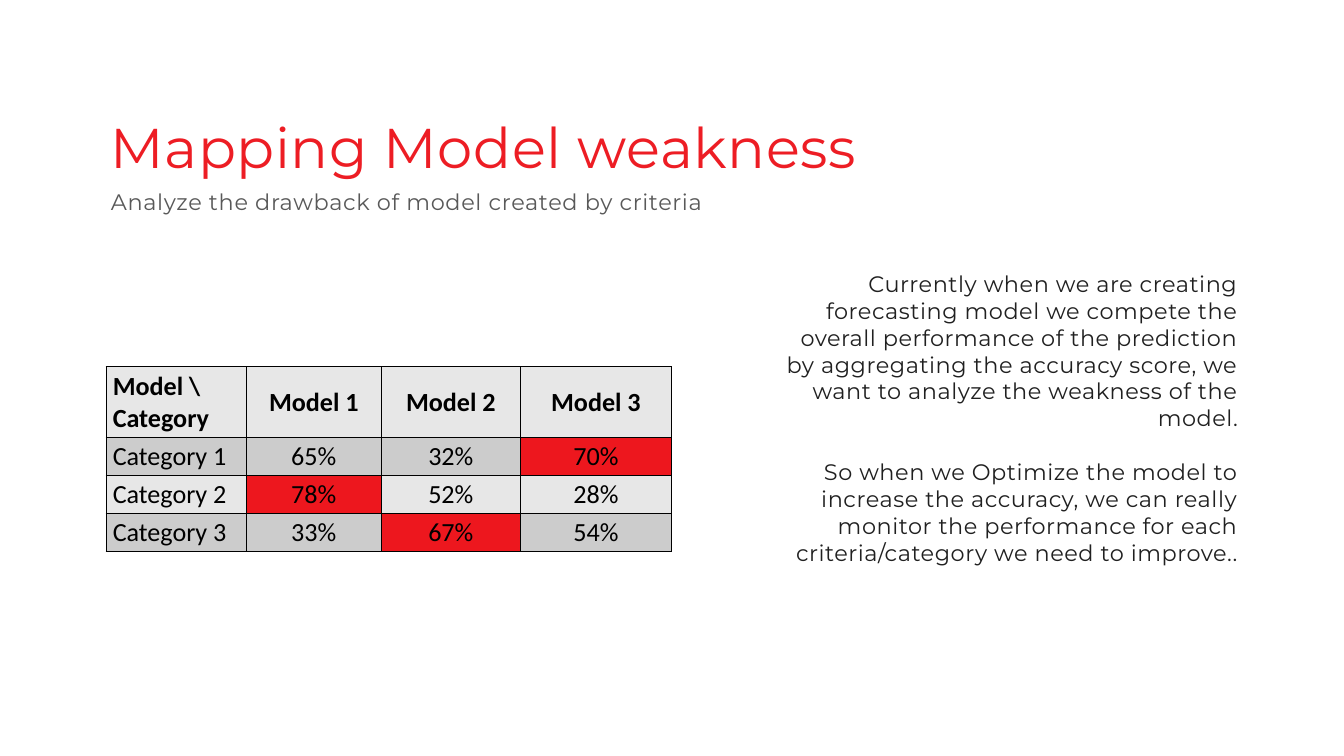
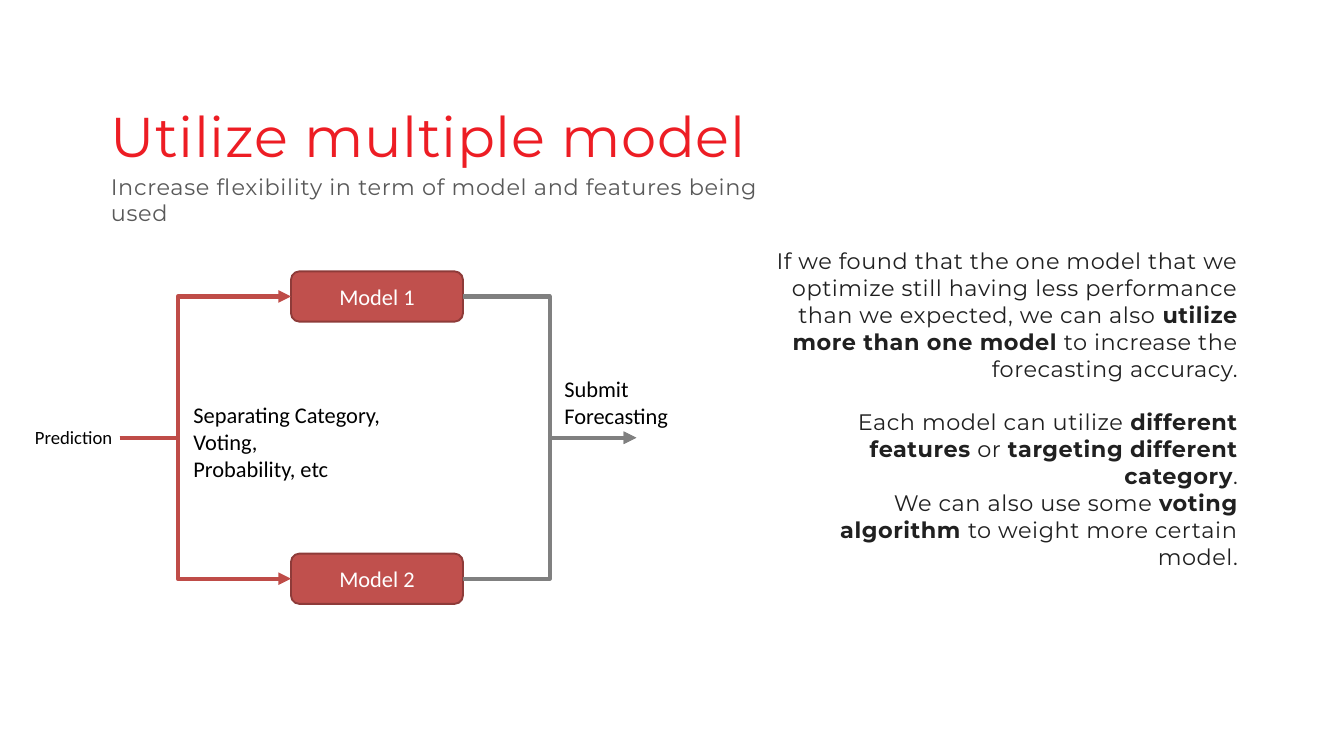
from dataclasses import dataclass
from typing import NamedTuple

from lxml import etree
from pptx import Presentation
from pptx.dml.color import RGBColor
from pptx.enum.shapes import MSO_CONNECTOR, MSO_SHAPE
from pptx.enum.text import MSO_ANCHOR, MSO_AUTO_SIZE, PP_ALIGN
from pptx.oxml.ns import qn
from pptx.shapes.autoshape import Shape
from pptx.slide import Slide
from pptx.table import _Cell
from pptx.text.text import TextFrame
from pptx.util import Cm, Pt

LEFT, CENTER, RIGHT = PP_ALIGN.LEFT, PP_ALIGN.CENTER, PP_ALIGN.RIGHT
MIDDLE = MSO_ANCHOR.MIDDLE
GROW = MSO_AUTO_SIZE.SHAPE_TO_FIT_TEXT
ROUNDED = MSO_SHAPE.ROUNDED_RECTANGLE
ELBOW = MSO_CONNECTOR.ELBOW

HEADING_FONT, DIAGRAM_FONT = "Montserrat", "Calibri"
TITLE_RED, SUBTITLE_GRAY, BODY_DARK = "ED1D24", "595959", "202020"
BLACK, WHITE = "000000", "FFFFFF"
BAND_LIGHT, BAND_DARK, HIGHLIGHT = "E7E7E7", "CCCCCC", "ED171E"
MODEL_FILL, MODEL_EDGE = "C0504D", "8E3B39"
SPLIT_RED, MERGE_GRAY = "BF4C48", "808080"

LEFT_SIDE, RIGHT_SIDE = 1, 3  # connection sites of a rectangle


class Box(NamedTuple):
    """Left, top, width and height in centimetres."""
    left: float
    top: float
    width: float
    height: float

    def lengths(self) -> list[Cm]:
        return [Cm(value) for value in self]


@dataclass
class Topic:
    title: str
    subtitle: str
    body: str
    title_top: float
    subtitle_top: float
    body_top: float


@dataclass
class Label:
    text: str
    box: Box
    size: int = 24


WEAKNESS = Topic(
    "Mapping Model weakness",
    "Analyze the drawback of model created by criteria",
    "Currently when we are creating forecasting model we compete the overall "
    "performance of the prediction by aggregating the accuracy score, we want "
    "to analyze the weakness of the model.\n\n"
    "So when we Optimize the model to increase the accuracy, we can really "
    "monitor the performance for each criteria/category we need to improve..",
    4.27, 7.11, 10.21)

MULTIPLE = Topic(
    "Utilize multiple model",
    "Increase flexibility in term of model and features being used",
    "If we found that the one model that we optimize still having less "
    "performance than we expected, we can also **utilize more than one model** "
    "to increase the forecasting accuracy.\n\n"
    "Each model can utilize **different features** or "
    "**targeting different category**.\n"
    "We can also use some **voting algorithm **to weight more certain model.",
    3.84, 6.53, 9.35)

TABLE_BOX = Box(4.01, 13.87, 21.36, 6.94)
COLUMN_WIDTHS = [5.31, 5.08, 5.28, 5.69]
HEADER_HEIGHT, ROW_HEIGHT = 2.65, 1.43
TABLE_HEADER = ["Model \\ Category", "Model 1", "Model 2", "Model 3"]
ACCURACY = {
    "Category 1": [65, 32, 70],
    "Category 2": [78, 52, 28],
    "Category 3": [33, 67, 54],
}

MODELS = [
    Label("Model 1", Box(11, 10.26, 6.5, 1.9)),
    Label("Model 2", Box(11, 20.93, 6.5, 1.9)),
]
FLOW_LABELS = [
    Label("Prediction", Box(1.07, 15.98, 3.48, 1.12), 20),
    Label("Submit\nForecasting", Box(21.08, 14.05, 4.47, 2.31)),
    Label("Separating Category,\nVoting,\nProbability, etc",
          Box(7.06, 15.04, 7.82, 3.33)),
]
FLOW_START, FLOW_END, FLOW_MIDDLE = 4.52, 24.05, 16.55


def rgb(code: str) -> RGBColor:
    return RGBColor.from_string(code)


def write_text(frame: TextFrame, text: str, *, size: float = 24,
               font: str = DIAGRAM_FONT, color: str = BLACK,
               align: PP_ALIGN = LEFT, bold: bool = False, tracking: float = 0,
               line_spacing: float | None = None, space_after: float = 0) -> None:
    """Fill a frame; a blank line opens a gap and ** toggles bold."""
    paragraph = None
    for block_index, block in enumerate(text.split("\n\n")):
        for line_index, line in enumerate(block.split("\n")):
            paragraph = frame.add_paragraph() if paragraph else frame.paragraphs[0]
            paragraph.alignment = align
            paragraph.space_after = Pt(space_after)
            if line_spacing:
                paragraph.line_spacing = line_spacing
            if block_index and not line_index:
                paragraph.space_before = Pt(size * 1.2)
            for part_index, part in enumerate(line.split("**")):
                run = paragraph.add_run()
                run.text = part
                run.font.size = Pt(size)
                run.font.name = font
                run.font.bold = bold or part_index % 2 == 1
                run.font.color.rgb = rgb(color)
                if tracking:
                    run.font._element.set("spc", str(round(tracking * 100)))


def add_text(slide: Slide, box: Box, text: str, *, wrap: bool = True,
             inset: bool = False, **text_format) -> None:
    frame = slide.shapes.add_textbox(*box.lengths()).text_frame
    frame.word_wrap = wrap
    frame.auto_size = GROW
    if not inset:
        frame.margin_left = frame.margin_right = 0
        frame.margin_top = frame.margin_bottom = 0
    write_text(frame, text, **text_format)


def add_topic_slide(deck: Presentation, topic: Topic) -> Slide:
    slide = deck.slides.add_slide(deck.slide_layouts[6])
    add_text(slide, Box(4.17, topic.title_top, 40.84, 2.57), topic.title,
             size=60, font=HEADING_FONT, color=TITLE_RED, tracking=0.7)
    add_text(slide, Box(29.16, topic.body_top, 17.63, 11.28), topic.body,
             font=HEADING_FONT, color=BODY_DARK, align=RIGHT, tracking=0.6)
    add_text(slide, Box(4.19, topic.subtitle_top, 24.94, 1.02), topic.subtitle,
             font=HEADING_FONT, color=SUBTITLE_GRAY, tracking=0.7, space_after=6)
    return slide


def fill_cell(cell: _Cell, text: str, fill: str, **text_format) -> None:
    properties = cell._tc.get_or_add_tcPr()
    for side in ("a:lnL", "a:lnR", "a:lnT", "a:lnB"):
        border = etree.SubElement(properties, qn(side), w=str(Pt(1)))
        solid = etree.SubElement(border, qn("a:solidFill"))
        etree.SubElement(solid, qn("a:srgbClr"), val=BLACK)
    cell.fill.solid()
    cell.fill.fore_color.rgb = rgb(fill)
    write_text(cell.text_frame, text, size=28, **text_format)


def add_accuracy_table(slide: Slide) -> None:
    """Draw accuracy by category, with the highest score of each row in red."""
    table = slide.shapes.add_table(
        len(ACCURACY) + 1, len(TABLE_HEADER), *TABLE_BOX.lengths()).table
    for column, width in zip(table.columns, COLUMN_WIDTHS):
        column.width = Cm(width)
    for index, row in enumerate(table.rows):
        row.height = Cm(ROW_HEIGHT if index else HEADER_HEIGHT)

    for column, heading in enumerate(TABLE_HEADER):
        fill_cell(table.cell(0, column), heading, BAND_LIGHT, bold=True,
                  align=CENTER if column else LEFT,
                  line_spacing=1.5 if column else None)
    for row, (category, scores) in enumerate(ACCURACY.items(), start=1):
        band = BAND_DARK if row % 2 else BAND_LIGHT
        fill_cell(table.cell(row, 0), category, band)
        for column, score in enumerate(scores, start=1):
            fill = HIGHLIGHT if score == max(scores) else band
            fill_cell(table.cell(row, column), f"{score}%", fill, align=CENTER)


def add_model(slide: Slide, model: Label) -> Shape:
    shape = slide.shapes.add_shape(ROUNDED, *model.box.lengths())
    shape.shadow.inherit = False
    shape.fill.solid()
    shape.fill.fore_color.rgb = rgb(MODEL_FILL)
    shape.line.color.rgb = rgb(MODEL_EDGE)
    shape.line.width = Pt(2)
    shape.text_frame.vertical_anchor = MIDDLE
    write_text(shape.text_frame, model.text, size=model.size, color=WHITE,
               align=CENTER)
    return shape


def add_flow(slide: Slide, start: tuple[float, float], end: tuple[float, float],
             color: str, bend: float):
    """Draw an elbow arrow that turns at the given share of its width."""
    flow = slide.shapes.add_connector(ELBOW, *map(Cm, start + end))
    flow.line.color.rgb = rgb(color)
    flow.line.width = Pt(4.5)
    etree.SubElement(flow.line._get_or_add_ln(), qn("a:tailEnd"), type="triangle")
    properties = flow._element.spPr
    etree.SubElement(properties, qn("a:effectLst"))
    guides = properties.find(qn("a:prstGeom")).find(qn("a:avLst"))
    etree.SubElement(guides, qn("a:gd"), name="adj1",
                     fmla=f"val {round(bend * 100000)}")
    return flow


def add_model_flow(slide: Slide) -> None:
    for model in MODELS:
        shape = add_model(slide, model)
        left, center = model.box.left, model.box.top + model.box.height / 2
        split = add_flow(slide, (FLOW_START, FLOW_MIDDLE), (left, center),
                         SPLIT_RED, bend=0.34)
        split.end_connect(shape, LEFT_SIDE)
        merge = add_flow(slide, (left + model.box.width, center),
                         (FLOW_END, FLOW_MIDDLE), MERGE_GRAY, bend=0.5)
        merge.begin_connect(shape, RIGHT_SIDE)
    for label in FLOW_LABELS:
        add_text(slide, label.box, label.text, size=label.size, wrap=False,
                 inset=True)


def main() -> None:
    deck = Presentation()
    deck.slide_width, deck.slide_height = Cm(50.8), Cm(28.58)
    add_accuracy_table(add_topic_slide(deck, WEAKNESS))
    add_model_flow(add_topic_slide(deck, MULTIPLE))
    deck.save("out.pptx")


if __name__ == "__main__":
    main()
